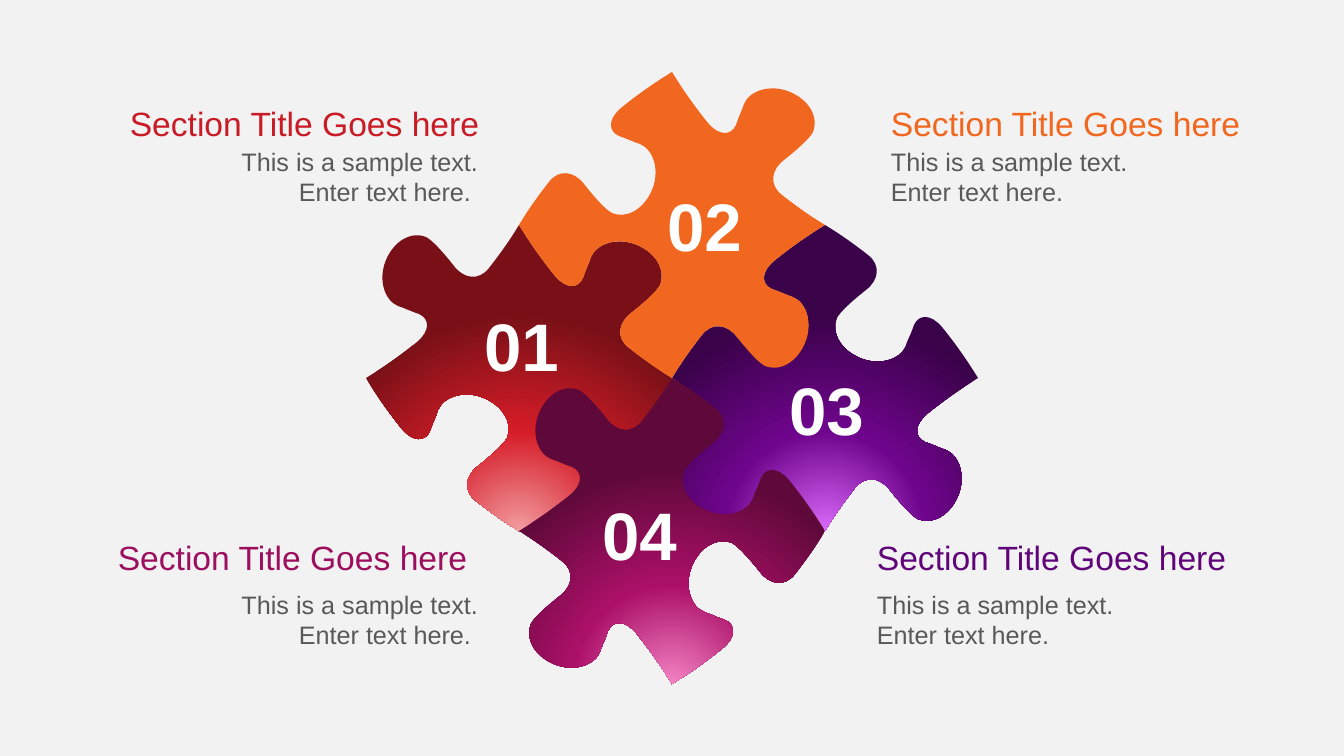
from lxml import etree
from pptx import Presentation
from pptx.dml.color import RGBColor
from pptx.enum.text import MSO_AUTO_SIZE, PP_ALIGN
from pptx.oxml.ns import nsdecls, qn
from pptx.util import Inches, Pt

PX = Inches(1) / 100.8
FIT = MSO_AUTO_SIZE.SHAPE_TO_FIT_TEXT
LEFT, CENTER, RIGHT = PP_ALIGN.LEFT, PP_ALIGN.CENTER, PP_ALIGN.RIGHT
FONT = "Arial"

BACKGROUND = RGBColor(0xF2, 0xF2, 0xF2)
WHITE = RGBColor(0xFF, 0xFF, 0xFF)
GREY = RGBColor(0x59, 0x59, 0x59)
RED = RGBColor(0xC9, 0x1B, 0x26)
ORANGE = RGBColor(0xF2, 0x67, 0x1F)
PURPLE = RGBColor(0x60, 0x04, 0x7A)
MAGENTA = RGBColor(0x9C, 0x0F, 0x5F)
# Each gradient runs from its bright focus to its dark rim
RED_GLOW = [RGBColor(0xF2, 0x9C, 0xA1), RGBColor(0xD5, 0x1D, 0x28), RGBColor(0x79, 0x10, 0x17)]
PURPLE_GLOW = [RGBColor(0xDA, 0x6A, 0xFA), RGBColor(0x6F, 0x05, 0x8D), RGBColor(0x3A, 0x02, 0x49)]
MAGENTA_GLOW = [RGBColor(0xF3, 0x83, 0xC3), RGBColor(0xAB, 0x10, 0x68), RGBColor(0x5E, 0x09, 0x39)]
GLOW_STOPS = [0, 46, 100]

PUZZLE_X, PUZZLE_Y = 672, 378
HALF = 153  # half the diagonal of one piece
# Bezier points of one jigsaw edge, ending at the puzzle's centre
EDGE = [
    (-153, -153),
    (-142, -135), (-130, -118), (-117, -102),
    (-106, -89), (-94, -89), (-89, -100),
    (-86, -109), (-82, -117), (-81, -121),
    (-75, -135), (-54, -141), (-35, -133),
    (-16, -125), (-6, -108), (-12, -93),
    (-15, -87), (-27, -76), (-41, -65),
    (-54, -55), (-56, -40), (-43, -30),
    (-29, -19), (-15, -9), (0, 0),
]

# Fill, clockwise quarter turns from the left-hand piece
PIECES = [(PURPLE_GLOW, 2), (RED_GLOW, 0), (ORANGE, 1), (MAGENTA_GLOW, 3)]
NUMBERS = [("01", 456, 299), ("02", 639, 179), ("03", 761, 363), ("04", 574, 488)]
# Colour, alignment, heading left and top, body left and top
SECTIONS = [
    (RED, RIGHT, 100, 98, 212, 141),
    (ORANGE, LEFT, 881, 98, 881, 141),
    (MAGENTA, RIGHT, 88, 532, 212, 584),
    (PURPLE, LEFT, 867, 532, 867, 584),
]


def px(n):
    return round(n * PX)


def turn(points, quarters):
    """Rotate points clockwise about the puzzle's centre."""
    for _ in range(quarters):
        points = [(-y, x) for x, y in points]
    return points


def shift(points, dx, dy):
    return [(x + dx, y + dy) for x, y in points]


def piece_outline():
    """Outline of the left-hand piece: one edge, turned and shifted onto four sides."""
    turned = turn(EDGE, 3)
    sides = [EDGE, turned[::-1], shift(EDGE, -HALF, HALF)[::-1],
             shift(turned, -HALF, -HALF)]
    return EDGE[:1] + [point for side in sides for point in side[1:]]


def bend_segments(shape):
    """Merge each three line segments into one cubic curve."""
    lines = list(shape._element.iter(qn("a:lnTo")))
    for i in range(0, len(lines), 3):
        curve = etree.Element(qn("a:cubicBezTo"))
        lines[i].addprevious(curve)
        for line in lines[i:i + 3]:
            curve.append(line[0])
            line.getparent().remove(line)


def fill_glow(shape, colors):
    """Fill with a circular gradient centred below the shape."""
    stops = "".join(
        f'<a:gs pos="{pos * 1000}"><a:srgbClr val="{color}"/></a:gs>'
        for pos, color in zip(GLOW_STOPS, colors))
    grad = etree.fromstring(
        f'<a:gradFill {nsdecls("a")} rotWithShape="1"><a:gsLst>{stops}</a:gsLst>'
        '<a:path path="circle">'
        '<a:fillToRect l="50000" t="130000" r="50000" b="-30000"/>'
        '</a:path></a:gradFill>')
    shape.fill.background()
    sp_pr = shape._element.spPr
    sp_pr.replace(sp_pr.find(qn("a:noFill")), grad)


def add_piece(s, outline, fill, quarters):
    points = [(px(x), px(y))
              for x, y in shift(turn(outline, quarters), PUZZLE_X, PUZZLE_Y)]
    builder = s.shapes.build_freeform(*points[0])
    builder.add_line_segments(points[1:], close=True)
    shape = builder.convert_to_shape()
    bend_segments(shape)
    shape.shadow.inherit = False
    shape.line.fill.background()
    if isinstance(fill, RGBColor):
        shape.fill.solid()
        shape.fill.fore_color.rgb = fill
    else:
        fill_glow(shape, fill)


def add_text(s, text, x, y, w, h, size, color, align=LEFT, bold=False):
    tf = s.shapes.add_textbox(px(x), px(y), px(w), px(h)).text_frame
    tf.word_wrap = True
    tf.auto_size = FIT
    p = tf.paragraphs[0]
    p.alignment = align
    r = p.add_run()
    r.text = text
    r.font.name = FONT
    r.font.size = Pt(size)
    r.font.bold = bold
    r.font.color.rgb = color


def add_section(s, color, align, head_x, head_y, body_x, body_y):
    body = "This is a sample text. Enter text here."
    if align == RIGHT:
        body += " "
    add_text(s, body, body_x, body_y, 276, 72, 18, GREY, align)
    add_text(s, "Section Title Goes here", head_x, head_y, 389, 50, 24, color, align)


def main():
    prs = Presentation()
    prs.slide_width, prs.slide_height = px(1344), px(756)
    s = prs.slides.add_slide(prs.slide_layouts[6])
    s.background.fill.solid()
    s.background.fill.fore_color.rgb = BACKGROUND

    outline = piece_outline()
    for fill, quarters in PIECES:
        add_piece(s, outline, fill, quarters)
    for number, x, y in NUMBERS:
        add_text(s, number, x, y, 131, 92, 48, WHITE, CENTER, bold=True)
    for section in SECTIONS:
        add_section(s, *section)
    prs.save("out.pptx")


if __name__ == "__main__":
    main()
